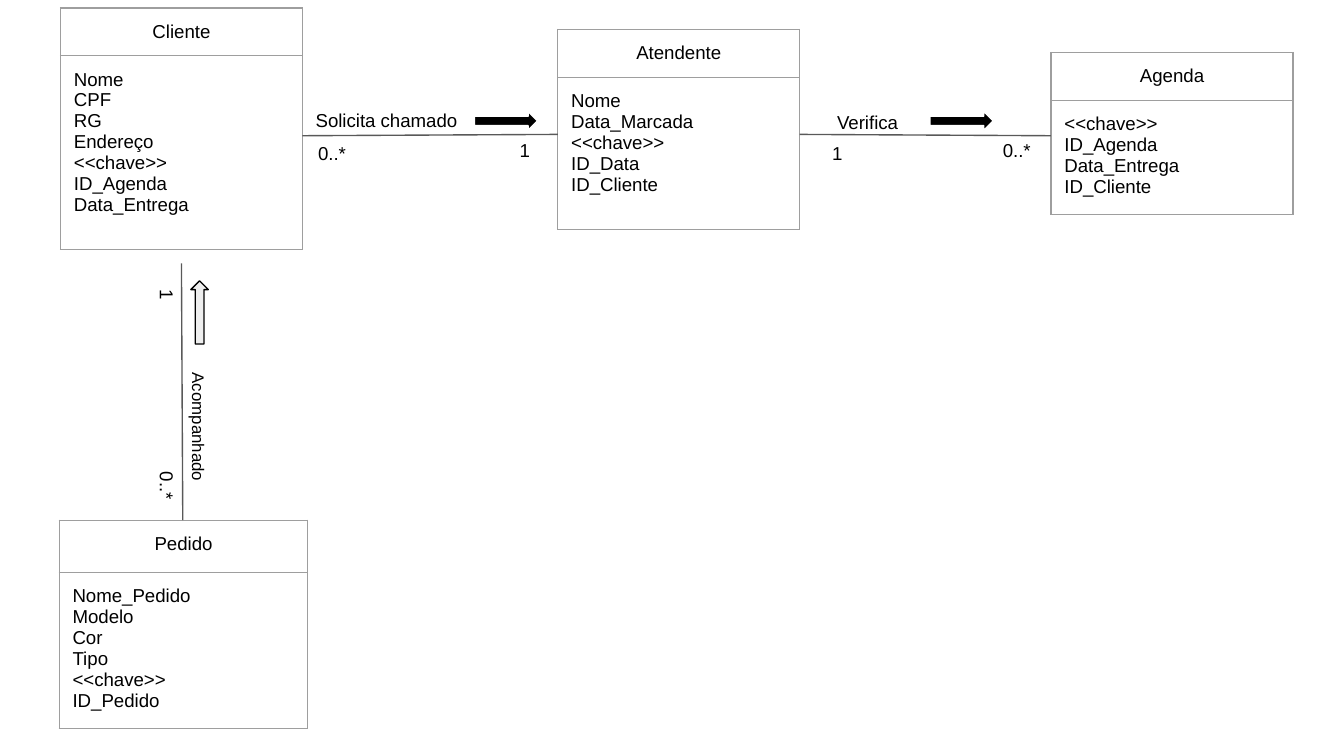
from lxml.etree import SubElement
from pptx import Presentation
from pptx.dml.color import RGBColor
from pptx.enum.shapes import MSO_CONNECTOR, MSO_SHAPE
from pptx.enum.text import MSO_ANCHOR, MSO_AUTO_SIZE, PP_ALIGN
from pptx.oxml.ns import qn
from pptx.util import Inches, Pt

COLORS = {
    "text": "000000",
    "border": "9E9E9E",
    "line": "595959",
    "solid": "000000",
    "pale": "EEEEEE",
    "white": "FFFFFF",
}
MARGIN = 0.1


def color(name):
    """Return the named colour."""
    return RGBColor.from_string(COLORS[name])


def inches(box):
    """Turn a box in inches into lengths."""
    return [Inches(value) for value in box]


def write(frame, lines, align=PP_ALIGN.LEFT, size=10):
    """Write one paragraph for each line."""
    for index, line in enumerate(lines):
        paragraph = frame.paragraphs[0] if index == 0 else frame.add_paragraph()
        paragraph.alignment = align
        run = paragraph.add_run()
        run.text = line
        run.font.name = "Arial"
        run.font.size = Pt(size)
        run.font.color.rgb = color("text")


def set_margins(holder):
    """Give a cell or text frame equal margins."""
    holder.margin_left = holder.margin_right = Inches(MARGIN)
    holder.margin_top = holder.margin_bottom = Inches(MARGIN)


def add_borders(cell):
    """Draw the four borders of a cell."""
    properties = cell._tc.get_or_add_tcPr()
    for index, side in enumerate(("lnL", "lnR", "lnT", "lnB")):
        border = properties.makeelement(qn("a:" + side), {"w": str(Pt(0.75))})
        fill = SubElement(border, qn("a:solidFill"))
        SubElement(fill, qn("a:srgbClr"), val=COLORS["border"])
        properties.insert(index, border)


def add_entity(slide, box, header_height, name, attributes):
    """Place a class table with its name above its attributes."""
    left, top, width, height = box
    table = slide.shapes.add_table(2, 1, *inches(box)).table
    table.first_row = table.horz_banding = False
    table.columns[0].width = Inches(width)
    table.rows[0].height = Inches(header_height)
    table.rows[1].height = Inches(height - header_height)
    contents = [([name], PP_ALIGN.CENTER), (attributes, PP_ALIGN.LEFT)]
    for row, (lines, align) in enumerate(contents):
        cell = table.cell(row, 0)
        cell.fill.background()
        set_margins(cell)
        add_borders(cell)
        write(cell.text_frame, lines, align)


def add_label(slide, box, text, align=PP_ALIGN.CENTER, rotation=0, size=10,
              anchor=MSO_ANCHOR.MIDDLE):
    """Place a role name or a multiplicity."""
    label = slide.shapes.add_textbox(*inches(box))
    label.rotation = rotation
    frame = label.text_frame
    frame.auto_size = MSO_AUTO_SIZE.NONE
    frame.word_wrap = True
    frame.vertical_anchor = anchor
    set_margins(frame)
    write(frame, [text], align, size)


def add_association(slide, start, end):
    """Join two entities with a line."""
    line = slide.shapes.add_connector(MSO_CONNECTOR.STRAIGHT, *inches(start + end))
    line.line.color.rgb = color("line")
    line.line.width = Pt(0.75)
    SubElement(line._element.spPr, qn("a:effectLst"))


def add_direction(slide, box, kind, fill, outline, rotation=0):
    """Place the block arrow that gives the reading direction."""
    arrow = slide.shapes.add_shape(kind, *inches(box))
    arrow.rotation = rotation
    arrow.shadow.inherit = False
    arrow.fill.solid()
    arrow.fill.fore_color.rgb = color(fill)
    arrow.line.color.rgb = color(outline)
    arrow.line.width = Pt(0.75)


def add_entities(slide):
    """Place the four class tables."""
    add_entity(slide, (0.45, 0.06, 1.8, 1.79), 0.35, "Cliente",
               ["Nome", "CPF", "RG", "Endereço", "<<chave>>", "ID_Agenda", "Data_Entrega"])
    add_entity(slide, (4.15, 0.22, 1.8, 1.48), 0.35, "Atendente",
               ["Nome", "Data_Marcada", "<<chave>>", "ID_Data", "ID_Cliente"])
    add_entity(slide, (7.82, 0.39, 1.8, 1.2), 0.35, "Agenda",
               ["<<chave>>", "ID_Agenda", "Data_Entrega", "ID_Cliente"])
    add_entity(slide, (0.44, 3.87, 1.85, 1.55), 0.39, "Pedido",
               ["Nome_Pedido", "Modelo", "Cor", "Tipo", "<<chave>>", "ID_Pedido"])


def add_request(slide, left, top):
    """Link Cliente to Atendente."""
    add_association(slide, (left, top + 0.01), (left + 1.9, top))
    add_label(slide, (left, top - 0.22, 1.38, 0.22), "Solicita chamado", PP_ALIGN.LEFT)
    add_direction(slide, (left + 1.28, top - 0.17, 0.47, 0.14),
                  MSO_SHAPE.RIGHT_ARROW, "solid", "white")
    add_label(slide, (left - 0.01, top + 0.03, 0.46, 0.22), "0..*")
    add_label(slide, (left + 1.41, top + 0.01, 0.49, 0.22), "1")


def add_check(slide, left, top):
    """Link Atendente to Agenda."""
    add_association(slide, (left, top), (left + 1.87, top + 0.01))
    add_label(slide, (left + 0.14, top - 0.16, 0.73, 0.14), "Verifica")
    add_direction(slide, (left + 0.97, top - 0.17, 0.47, 0.14),
                  MSO_SHAPE.RIGHT_ARROW, "solid", "white")
    add_label(slide, (left + 0.02, top + 0.03, 0.52, 0.22), "1")
    add_label(slide, (left + 1.36, top + 0.01, 0.51, 0.21), "0..*")


def add_follow_up(slide, left, top):
    """Link Pedido up to Cliente."""
    add_association(slide, (left, top), (left + 0.01, top + 1.91))
    add_label(slide, (left - 0.37, top + 1.15, 1.11, 0.24), "Acompanhado",
              PP_ALIGN.LEFT, 90, 9, MSO_ANCHOR.TOP)
    add_direction(slide, (left - 0.1, top + 0.3, 0.47, 0.13),
                  MSO_SHAPE.LEFT_ARROW, "pale", "solid", 90)
    for offset, text in ((0.13, "1"), (1.55, "0..*")):
        add_label(slide, (left - 0.36, top + offset, 0.51, 0.21), text, rotation=90)


def main():
    """Build the class diagram."""
    presentation = Presentation()
    presentation.slide_width = Inches(10)
    presentation.slide_height = Inches(10) * 9 // 16
    slide = presentation.slides.add_slide(presentation.slide_layouts[6])
    add_entities(slide)
    add_request(slide, 2.25, 1)
    add_check(slide, 5.95, 1)
    add_follow_up(slide, 1.35, 1.96)
    presentation.save("out.pptx")


if __name__ == "__main__":
    main()
